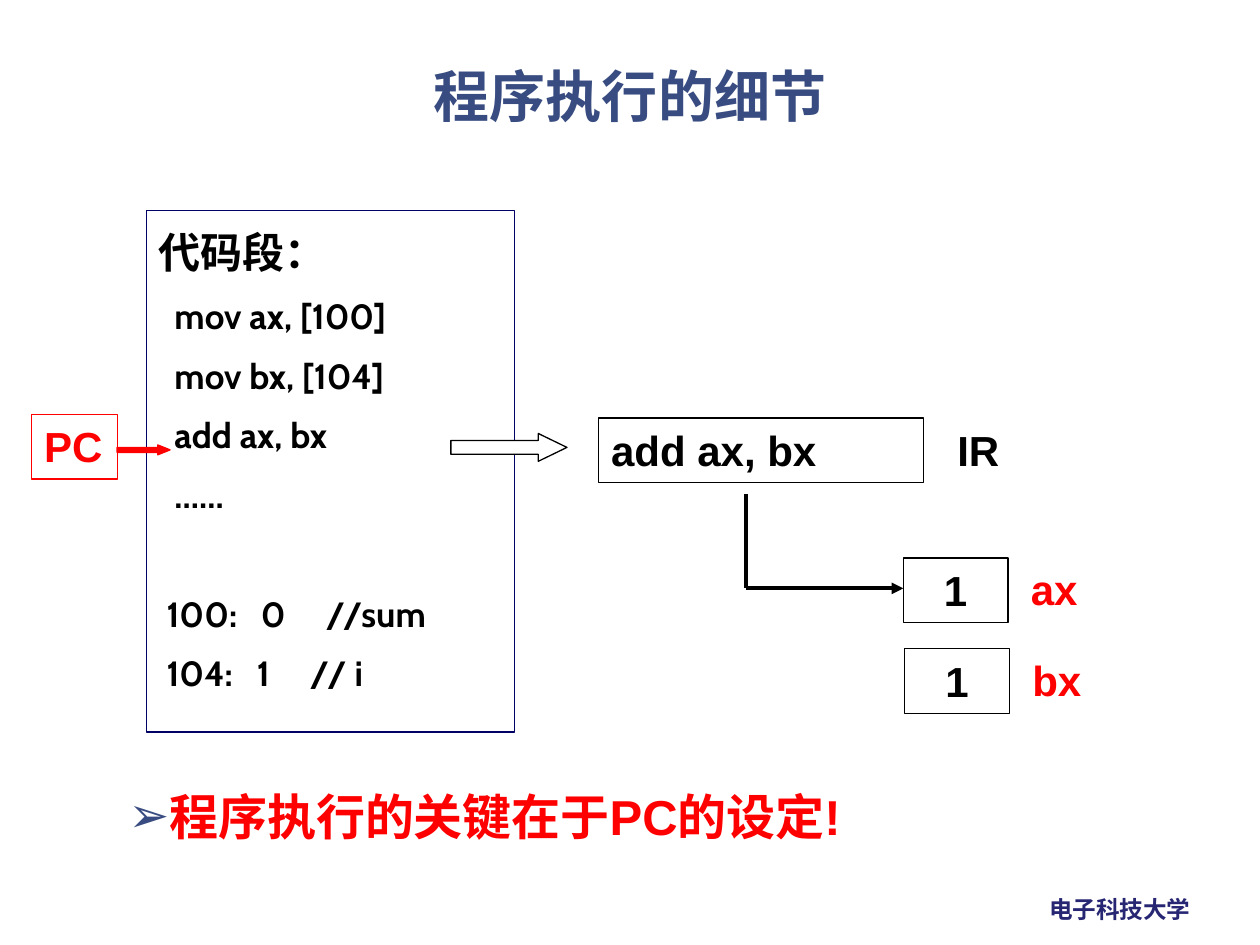
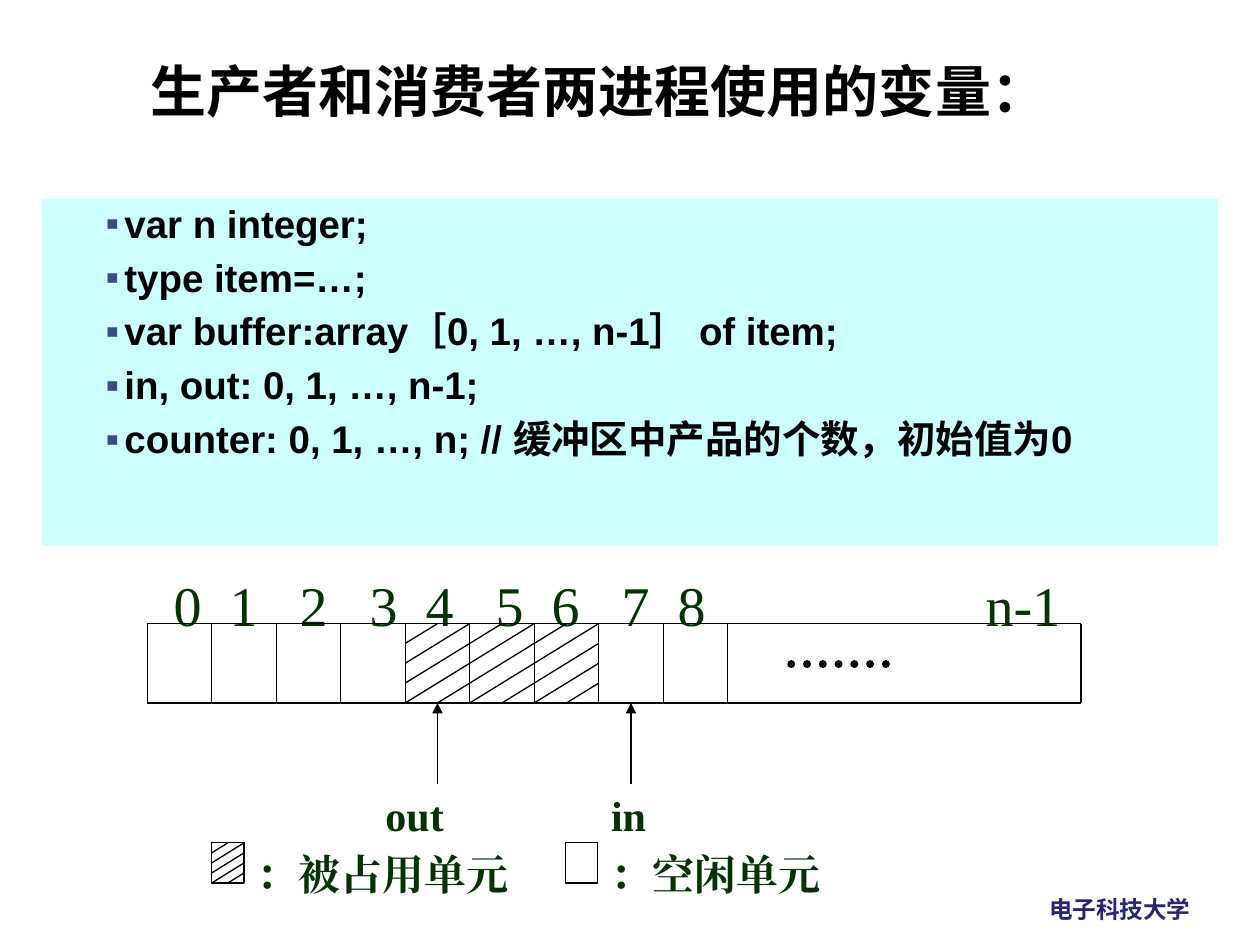
from lxml import etree
from pptx import Presentation
from pptx import util as u
from pptx.dml.color import RGBColor
from pptx.enum import dml, shapes, text
from pptx.oxml.ns import qn

COLORS = {
    "black": "000000", "white": "FFFFFF", "red": "FF0000", "title": "384C81",
    "school": "262673", "frame": "000066", "panel": "CCFFFF", "green": "003300",
}
LABEL = {"size": 24, "bold": True, "name": "Arial", "color": "black"}
RED_LABEL = {**LABEL, "color": "red"}
CODE = {**LABEL, "size": 20, "name": "Cabin"}
TITLE = {"size": 32, "bold": True, "name": "Noto Sans CJK SC", "color": "title"}
SCHOOL = {**TITLE, "size": 13.5, "color": "school"}
SERIF = {**LABEL, "name": "Times New Roman", "color": "green"}
INDEX = {**SERIF, "size": 32, "bold": False}
CENTER = text.PP_ALIGN.CENTER


def rgb(name):
    return RGBColor.from_string(COLORS[name])


def set_values(target, values):
    for attribute, value in values.items():
        setattr(target, attribute, value)


def place(*lengths):
    return [u.Cm(length) for length in lengths]


def style_run(run, style):
    values = {**style, "size": u.Pt(style["size"])}
    run.font.color.rgb = rgb(values.pop("color"))
    set_values(run.font, values)
    east_asian = etree.SubElement(run.font._element, qn("a:ea"))
    east_asian.set("typeface", style["name"])


def add_bullet(paragraph, char, hang, indent):
    props = paragraph._p.get_or_add_pPr()
    props.set("marL", str(u.Cm(indent)))
    props.set("indent", str(-u.Cm(hang)))
    color = etree.SubElement(props, qn("a:buClr"))
    etree.SubElement(color, qn("a:srgbClr")).set("val", COLORS["title"])
    etree.SubElement(props, qn("a:buFont")).set("typeface", "Arial")
    etree.SubElement(props, qn("a:buChar")).set("char", char)


def add_tabs(paragraph, stops):
    tabs = etree.SubElement(paragraph._p.get_or_add_pPr(), qn("a:tabLst"))
    for stop in stops:
        tab = etree.SubElement(tabs, qn("a:tab"))
        tab.set("pos", str(u.Cm(stop)))
        tab.set("algn", "l")


def write(paragraph, words, style, bullet=None, tabs=(), **layout):
    """Fill a paragraph; layout holds alignment and spacing values."""
    if bullet:
        add_bullet(paragraph, *bullet)
    if tabs:
        add_tabs(paragraph, tabs)
    set_values(paragraph, layout)
    run = paragraph.add_run()
    run.text = words
    style_run(run, style)


def next_paragraph(frame, position):
    return frame.add_paragraph() if position else frame.paragraphs[0]


def add_text(slide, box, words, style, wrap=True, **layout):
    frame = slide.shapes.add_textbox(*place(*box)).text_frame
    frame.word_wrap = wrap
    write(frame.paragraphs[0], words, style, **layout)


def add_block(slide, kind, box, fill=None, line=None, words="", style=LABEL,
              adjust=(), **layout):
    block = slide.shapes.add_shape(kind, *place(*box))
    block.shadow.inherit = False
    for position, value in enumerate(adjust):
        block.adjustments[position] = value
    if fill:
        block.fill.solid()
        block.fill.fore_color.rgb = rgb(fill)
    else:
        block.fill.background()
    if line:
        block.line.color.rgb = rgb(line)
        block.line.width = u.Pt(0.75)
    else:
        block.line.fill.background()
    frame = block.text_frame
    set_values(frame, {"word_wrap": True, "vertical_anchor": text.MSO_ANCHOR.TOP})
    if words:
        layout.setdefault("alignment", text.PP_ALIGN.LEFT)
        write(frame.paragraphs[0], words, style, **layout)
    return block


def add_rect(slide, box, **options):
    return add_block(slide, shapes.MSO_SHAPE.RECTANGLE, box, **options)


def add_arrow(slide, box, **options):
    return add_block(slide, shapes.MSO_SHAPE.RIGHT_ARROW, box, **options)


def add_line(slide, start, end, width=0.75, arrow=False):
    connector = slide.shapes.add_connector(
        shapes.MSO_CONNECTOR.STRAIGHT, *place(*start, *end))
    connector.line.color.rgb = rgb("black")
    connector.line.width = u.Pt(width)
    if arrow:
        tail = etree.SubElement(connector.line._get_or_add_ln(), qn("a:tailEnd"))
        tail.set("type", "triangle")
    etree.SubElement(connector._element.spPr, qn("a:effectLst"))
    return connector


def add_hatch(slide, left, top, width, height):
    """Draw five parallel slanting strokes across one occupied cell."""
    right, middle = left + width, left + width / 2
    levels = [top + height * quarter / 4 for quarter in range(5)]
    add_line(slide, (middle, top), (left, levels[1]))
    for high, low in zip(levels, levels[2:]):
        add_line(slide, (right, high), (left, low))
    add_line(slide, (right, levels[3]), (middle, levels[4]))


def new_slide(deck, title, box, style=TITLE, **layout):
    slide = deck.slides.add_slide(deck.slide_layouts[6])
    add_text(slide, (20.9, 17.91, 3.4, 0.84), "电子科技大学", SCHOOL, wrap=False)
    add_text(slide, box, title, style, line_spacing=0.9, **layout)
    return slide


def add_code_segment(slide):
    add_rect(slide, (2.95, 4.24, 7.42, 10.52), fill="white", line="frame")
    frame = slide.shapes.add_textbox(*place(2.95, 4.45, 8.89, 10.16)).text_frame
    frame.word_wrap = True
    write(frame.paragraphs[0], "代码段：", LABEL)
    instructions = ["  mov ax, [100]", "  mov bx, [104]", "  add ax, bx", "  ……"]
    for instruction in instructions:
        write(frame.add_paragraph(), instruction, CODE, space_before=u.Pt(10))
    memory = [(" 100:\t0\t//sum", (2.06, 3.37), 44), (" 104:\t1\t// i", (1.98, 3.05), 10)]
    for entry, tabs, gap in memory:
        write(frame.add_paragraph(), entry, CODE, tabs=tabs, space_before=u.Pt(gap))


def build_execution(deck):
    slide = new_slide(deck, "程序执行的细节", (1.73, 1.27, 21.95, 1.52),
                      alignment=CENTER)
    add_code_segment(slide)
    add_arrow(slide, (9.09, 8.74, 2.34, 0.56), fill="white", line="black",
              adjust=(0.5, 1.03))

    counter = add_rect(slide, (0.64, 8.36, 1.73, 1.3), line="red", words="PC",
                       style=RED_LABEL)
    counter.text_frame.word_wrap = False
    add_arrow(slide, (2.36, 8.97, 1.07, 0.2), fill="red", line="red",
              adjust=(0.5, 1.25))

    add_rect(slide, (12.07, 8.43, 6.55, 1.3), line="black", words="add ax, bx")
    add_text(slide, (19.05, 8.43, 2.54, 1.27), "IR", LABEL)

    for register, left, top in [("ax", 18.21, 11.25), ("bx", 18.24, 13.08)]:
        add_rect(slide, (left, top, 2.11, 1.3), fill="white", line="black",
                 words="1", alignment=CENTER)
        add_text(slide, (left + 2.32, top - 0.02, 2.54, 1.27), register, RED_LABEL)

    bend = (15.04, 11.86)
    add_line(slide, (15.04, 9.96), bend, width=2.25)
    add_line(slide, bend, (18.21, 11.86), width=2.25, arrow=True)
    add_text(slide, (2.34, 15.37, 22, 2.41), "程序执行的关键在于PC的设定!",
             {**RED_LABEL, "size": 28}, bullet=("➢", 0.48, 0.48), line_spacing=1.3)


def add_declarations(slide):
    declarations = [
        "var n integer;",
        "type item=…;",
        "var buffer:array［0, 1, …, n-1］ of item;",
        "in, out: 0, 1, …, n-1;",
        "counter: 0, 1, …, n; // 缓冲区中产品的个数，初始值为0",
    ]
    frame = add_rect(slide, (0.84, 4.01, 23.72, 6.99), fill="panel").text_frame
    for position, declaration in enumerate(declarations):
        write(next_paragraph(frame, position), declaration, {**LABEL, "size": 22},
              bullet=("▪", 0.38, 1.42), alignment=text.PP_ALIGN.LEFT,
              line_spacing=0.9, space_before=u.Pt(7 if position else 0))


def add_buffer(slide):
    left, top, right, cell, height = 2.97, 12.57, 21.79, 1.3, 1.6
    bottom = top + height
    index_stops = (0.28, 1.41, 2.82, 4.23, 5.36, 6.77, 7.9, 9.31, 10.44, 16.65)
    indexes = [*map(str, range(9)), "n-1"]
    add_text(slide, (left, 11.38, 18.85, 1.22), "\t" + "\t".join(indexes), INDEX,
             tabs=index_stops)

    for edge in (top, bottom):
        add_line(slide, (left, edge), (right, edge))
    for divider in [left + cell * count for count in range(10)] + [right]:
        add_line(slide, (divider, top), (divider, bottom))
    for occupied in (4, 5, 6):
        add_hatch(slide, left + cell * occupied, top, cell, height)

    dots = add_line(slide, (15.95, 13.39), (17.91, 13.39), width=4.5)
    dots.line.dash_style = dml.MSO_LINE.ROUND_DOT
    dots.line._get_or_add_ln().set("cap", "rnd")

    for pointer, index, label_left in [("out", 4, 7.52), ("in", 7, 12.07)]:
        middle = left + cell * (index + 0.5)
        add_line(slide, (middle, 15.8), (middle, bottom), arrow=True)
        add_text(slide, (label_left, 15.8, 2.59, 1.19), pointer, SERIF)


def add_legend(slide):
    top, width, height = 16.99, 0.65, 0.81
    for meaning, left in [("：被占用单元", 4.27), ("：空闲单元", 11.4)]:
        add_rect(slide, (left, top, width, height), line="black")
        add_text(slide, (left + width, top, 5.84, 1.19), meaning, SERIF)
    add_hatch(slide, 4.27, top, width, height)


def build_variables(deck):
    slide = new_slide(deck, "生产者和消费者两进程使用的变量：",
                      (2.79, 1.17, 22.6, 3.18), {**TITLE, "color": "black"})
    add_declarations(slide)
    add_buffer(slide)
    add_legend(slide)


def main():
    deck = Presentation()
    set_values(deck, {"slide_width": u.Cm(25.4), "slide_height": u.Cm(19.05)})
    build_execution(deck)
    build_variables(deck)
    deck.save("out.pptx")


if __name__ == "__main__":
    main()
